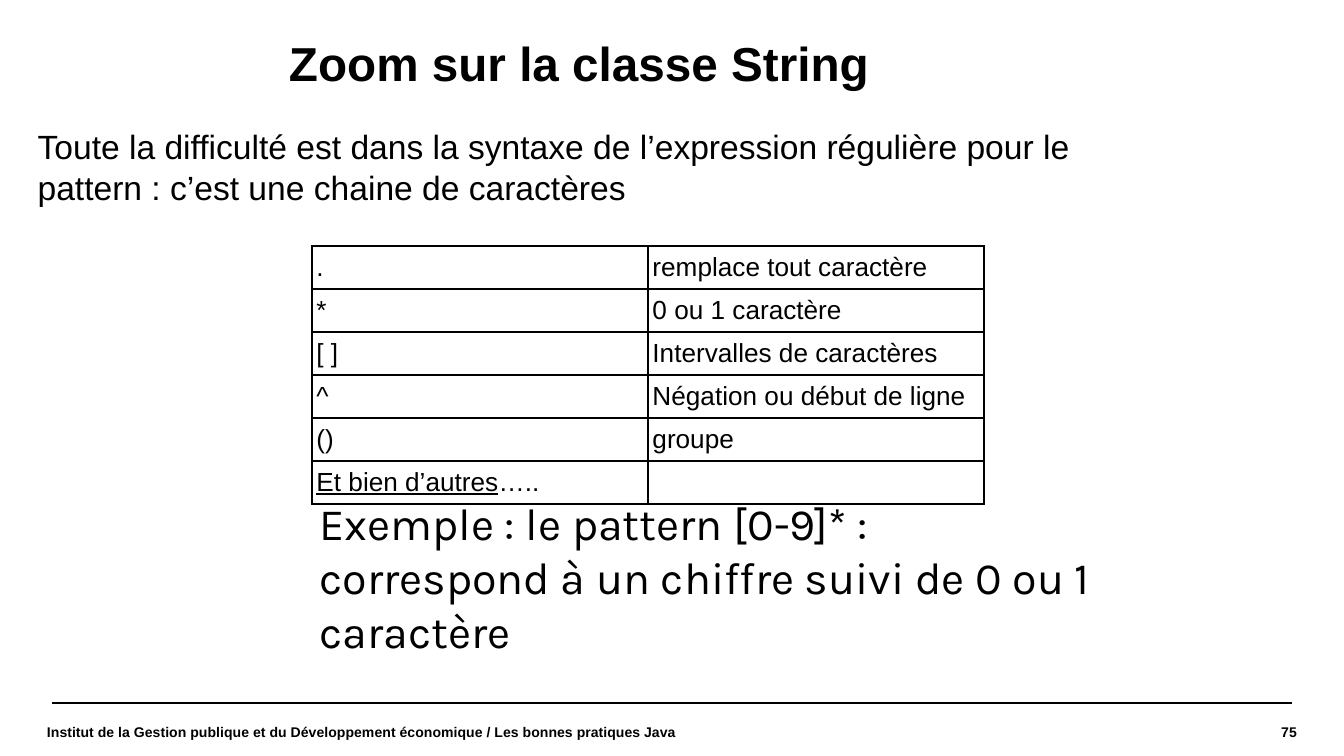
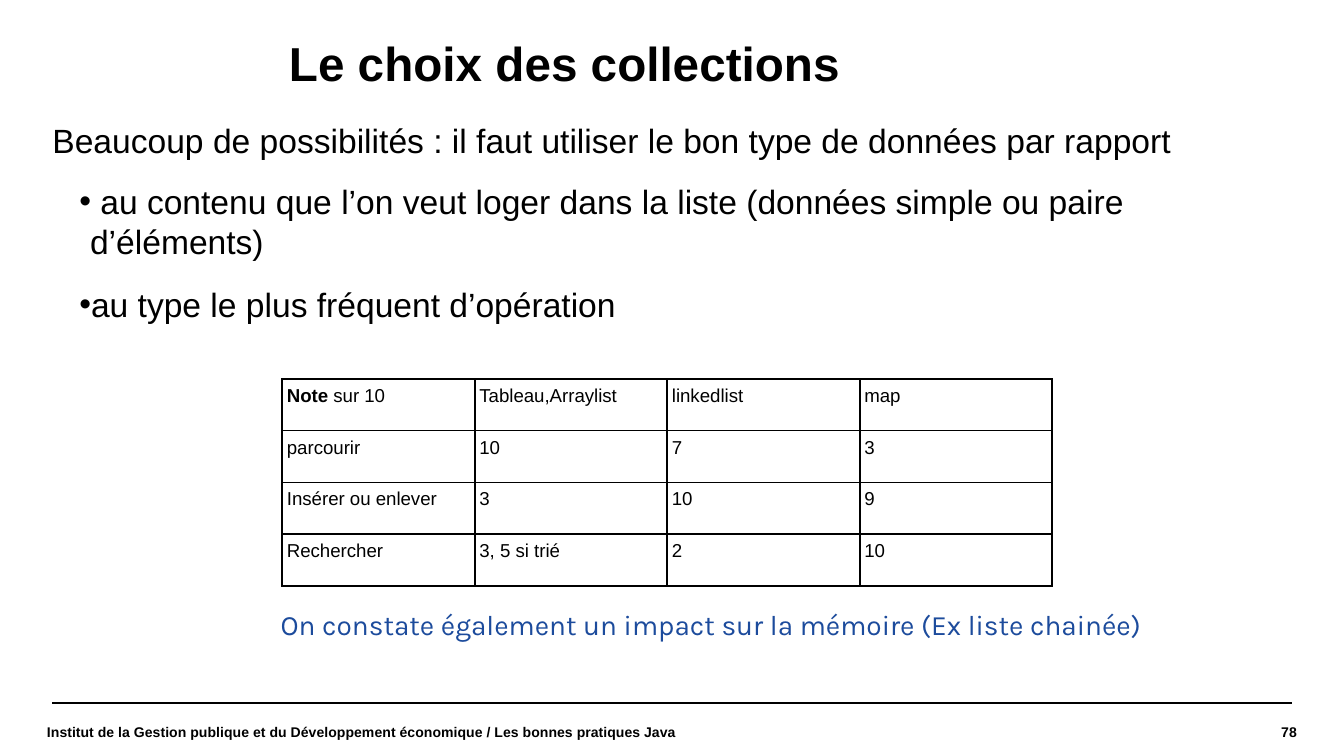
from dataclasses import dataclass

from lxml import etree
from pptx import Presentation
from pptx import util as u
from pptx.dml import color
from pptx.enum import shapes, text
from pptx.oxml import ns


@dataclass(frozen=True)
class Theme:
    ink: str = "000000"
    blue: str = "1C4B9C"
    sans: str = "Arial"
    note: str = "Karla"
    title: float = 25.5
    body: float = 18
    foot: float = 7.5
    rule: float = 0.8
    edge: float = 0.96


T = Theme()
WIDE = u.Inches(10)
HIGH = u.Emu(WIDE * 9 // 16)
COL, ROW = WIDE / 100, HIGH / 56.25
HEAD = (21.5, 3, 63.9, 4.7)
RULE = (3.9, 52.3, 92.2)
FOOT = (3.5, 52.5, 48.4, 3.9)
PAGE = (81.7, 52.5, 14.8, 3.9)
PAD = (1, 0.5, 1, 0.5)
CELL = (0.35, 0.5, 0.35, 0.5)
BARE = (0, 0, 0, 0)
LABEL = "Institut de la Gestion publique et du Développement économique / Les bonnes pratiques Java"


def grid(box):
    return [u.Emu(round(n * unit)) for n, unit in zip(box, (COL, ROW, COL, ROW))]


def node(owner, tag, **attrs):
    item = etree.SubElement(owner, ns.qn(tag))
    for key, val in attrs.items():
        item.set(key, str(val))
    return item


def write(para, words, size=T.body, face=T.sans, ink=T.ink, bold=False,
          align=text.PP_ALIGN.LEFT, before=0, after=0, lead=None):
    para.alignment = align
    para.space_before, para.space_after = u.Pt(before), u.Pt(after)
    if lead:
        para.line_spacing = lead
    parts = [(words, {})] if isinstance(words, str) else words
    for part, look in parts:
        if not part:
            mark = node(para._p, "a:endParaRPr", sz=int(size * 100))
            node(mark, "a:latin", typeface=face)
            continue
        run = para.add_run()
        run.text = part
        font = run.font
        font.size, font.name = u.Pt(size), face
        font.bold = look.get("bold", bold)
        if look.get("under"):
            font.underline = True
        font.color.rgb = color.RGBColor.from_string(ink)


def frame(shape, box, pad=BARE, anchor=text.MSO_ANCHOR.TOP, fit=text.MSO_AUTO_SIZE.NONE):
    shape.left, shape.top, shape.width, shape.height = grid(box)
    area = shape.text_frame
    area.word_wrap, area.auto_size, area.vertical_anchor = True, fit, anchor
    (area.margin_left, area.margin_top,
     area.margin_right, area.margin_bottom) = grid(pad)
    return area


def label(slide, box, words, pad=BARE, anchor=text.MSO_ANCHOR.TOP,
          fit=text.MSO_AUTO_SIZE.NONE, **look):
    area = frame(slide.shapes.add_textbox(*grid(box)), box, pad, anchor, fit)
    write(area.paragraphs[0], words, **look)


def remark(slide, box, words, **look):
    label(slide, box, words, pad=PAD, face=T.note,
          fit=text.MSO_AUTO_SIZE.SHAPE_TO_FIT_TEXT, **look)


def footer(slide, page):
    left, top, span, _ = grid((*RULE, 0))
    line = slide.shapes.add_connector(shapes.MSO_CONNECTOR.STRAIGHT,
                                      left, top, left + span, top)
    line.line.width = u.Pt(T.rule)
    line.line.color.rgb = color.RGBColor.from_string(T.ink)
    node(line._element.spPr, "a:effectLst")
    small = dict(size=T.foot, bold=True, anchor=text.MSO_ANCHOR.MIDDLE)
    label(slide, PAGE, str(page), align=text.PP_ALIGN.RIGHT, **small)
    label(slide, FOOT, LABEL, **small)


def base(deck, title, page):
    slide = deck.slides.add_slide(deck.slide_layouts[1])
    area = frame(slide.shapes.title, HEAD)
    write(area.paragraphs[0], title, size=T.title, bold=True, lead=0.9)
    footer(slide, page)
    return slide


def body(slide, box, intro, points=()):
    area = frame(slide.placeholders[1], box)
    first = area.paragraphs[0]
    props = first._p.get_or_add_pPr()
    props.set("marL", "0")
    props.set("indent", "0")
    node(props, "a:buNone")
    write(first, intro, after=5)
    for point in points:
        para = area.add_paragraph()
        para.level = 1
        props = para._p.get_or_add_pPr()
        props.set("marL", str(u.Inches(0.28)))
        props.set("indent", str(u.Inches(-0.08)))
        node(props, "a:buChar", char="•")
        write(para, point, before=6, after=6)


def border(cell):
    props = cell._tc.get_or_add_tcPr()
    for side in ("lnL", "lnR", "lnT", "lnB"):
        line = node(props, f"a:{side}", w=u.Pt(T.edge))
        node(node(line, "a:solidFill"), "a:srgbClr", val=T.ink)


def table(slide, box, rows, **look):
    place = grid(box)
    grill = slide.shapes.add_table(len(rows), len(rows[0]), *place).table
    grill.first_row = grill.horz_banding = False
    for col in grill.columns:
        col.width = u.Emu(round(place[2] / len(rows[0])))
    for row, words in zip(grill.rows, rows):
        row.height = u.Emu(round(place[3] / len(rows)))
        for cell, entry in zip(row.cells, words):
            (cell.margin_left, cell.margin_top,
             cell.margin_right, cell.margin_bottom) = grid(CELL)
            border(cell)
            cell.fill.background()
            write(cell.text_frame.paragraphs[0], entry, **look)


def regex(deck):
    slide = base(deck, "Zoom sur la classe String", 75)
    body(slide, (2.8, 9.4, 82.6, 12.9),
         "Toute la difficulté est dans la syntaxe de l’expression régulière "
         "pour le pattern : c’est une chaine de caractères")
    table(slide, (23.2, 18.3, 50, 19.2), [
        (".", "remplace tout caractère"),
        ("*", "0 ou 1 caractère"),
        ("[ ]", "Intervalles de caractères"),
        ("^", "Négation ou début de ligne"),
        ("()", "groupe"),
        ([("Et bien d’autres", {"under": True}), ("…..", {})], ""),
    ], size=14, align=text.PP_ALIGN.JUSTIFY)
    remark(slide, (22.8, 36.4, 60.2, 13),
           "Exemple : le pattern [0-9]* : correspond à un chiffre suivi de 0 ou 1 caractère",
           size=24)


def lists(deck):
    slide = base(deck, "Le choix des collections", 78)
    body(slide, (3.9, 8.9, 88.6, 25.7),
         "Beaucoup de possibilités : il faut utiliser le bon type de données par rapport",
         (" au contenu que l’on veut loger dans la liste (données simple ou paire d’éléments)",
          "au type le plus fréquent d’opération"))
    table(slide, (21, 28.2, 57.3, 15.4), [
        ([("Note", {"bold": True}), (" sur 10", {})],
         "Tableau,Arraylist", "linkedlist", "map"),
        ("parcourir", "10", "7", "3"),
        ("Insérer ou enlever", "3", "10", "9"),
        ("Rechercher", "3, 5 si trié", "2", "10"),
    ], size=10)
    remark(slide, (19.9, 44.7, 70.3, 3.5),
           "On constate également un impact sur la mémoire (Ex liste chainée)",
           size=15, ink=T.blue)


def main():
    deck = Presentation()
    deck.slide_width, deck.slide_height = WIDE, HIGH
    regex(deck)
    lists(deck)
    deck.save("out.pptx")


if __name__ == "__main__":
    main()
